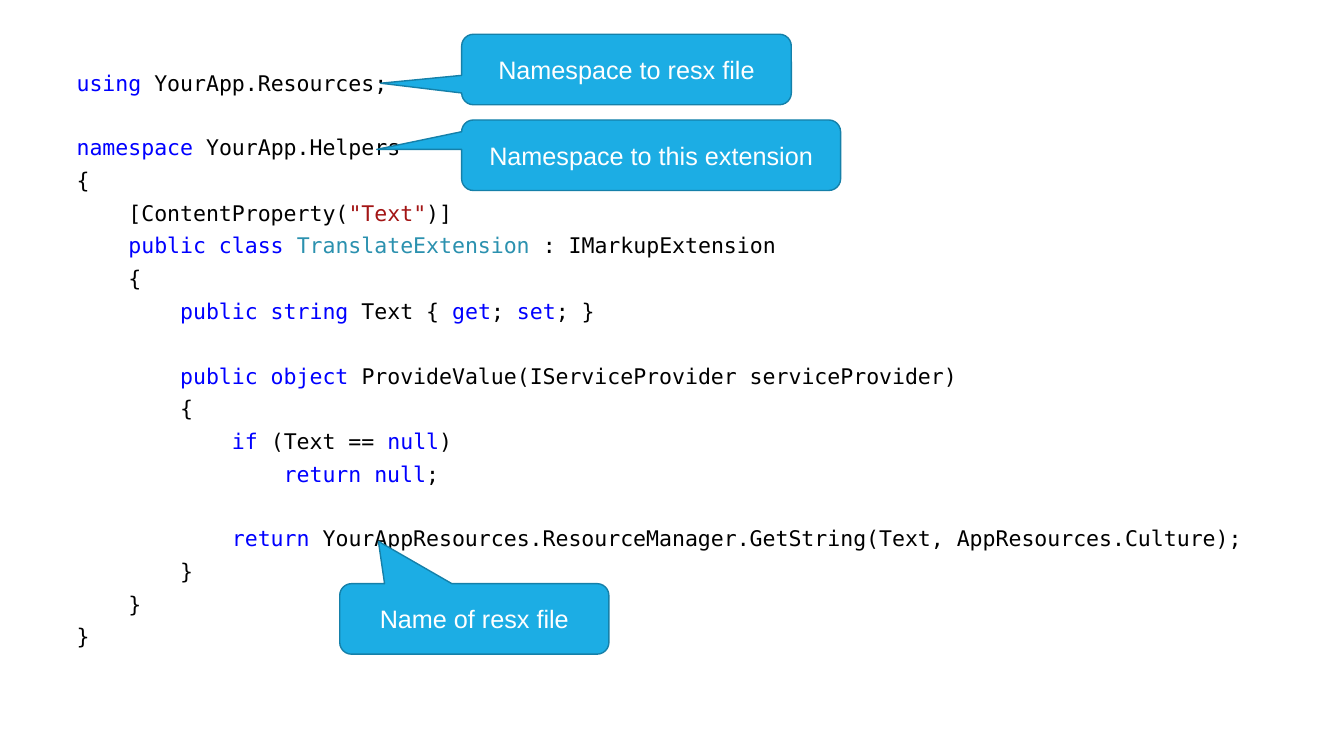
from lxml.etree import SubElement
from pptx import Presentation
from pptx.dml.color import RGBColor
from pptx.enum.shapes import MSO_SHAPE as Shape
from pptx.enum.text import MSO_ANCHOR as Anchor, MSO_AUTO_SIZE as AutoSize, PP_ALIGN as Align
from pptx.oxml.ns import qn
from pptx.util import Inches, Pt

PLAIN = RGBColor(0x00, 0x00, 0x00)
KEYWORD = RGBColor(0x00, 0x00, 0xFF)
STRING = RGBColor(0xA3, 0x15, 0x15)
TYPE = RGBColor(0x2B, 0x91, 0xAF)
CALLOUT_FILL = RGBColor(0x1C, 0xAD, 0xE4)
CALLOUT_LINE = RGBColor(0x15, 0x80, 0xA9)
WHITE = RGBColor(0xFF, 0xFF, 0xFF)

WIDTH, HEIGHT = Inches(13.33), Inches(7.5)
COLUMN, ROW = WIDTH / 100, HEIGHT / 100  # 100 by 100 grid

# Distance above a code line, and above one that opens a new block
LINE_GAP, BLOCK_GAP = Pt(10.4), Pt(33.4)

# Blocks of code lines; each line is a list of (text, colour) spans
CODE_BLOCKS = [
    [
        [("using ", KEYWORD), ("YourApp.Resources;", PLAIN)],
    ],
    [
        [("namespace ", KEYWORD), ("YourApp.Helpers", PLAIN)],
        [("{", PLAIN)],
        [("    [ContentProperty(", PLAIN), ('"Text"', STRING), (")]", PLAIN)],
        [("    public class ", KEYWORD), ("TranslateExtension", TYPE),
         (" : IMarkupExtension", PLAIN)],
        [("    {", PLAIN)],
        [("        public string", KEYWORD), (" Text { ", PLAIN), ("get", KEYWORD),
         ("; ", PLAIN), ("set", KEYWORD), ("; }", PLAIN)],
    ],
    [
        [("        public object ", KEYWORD),
         ("ProvideValue(IServiceProvider serviceProvider)", PLAIN)],
        [("        {", PLAIN)],
        [("            if", KEYWORD), (" (Text == ", PLAIN), ("null", KEYWORD), (")", PLAIN)],
        [("                return null", KEYWORD), (";", PLAIN)],
    ],
    [
        [("            return ", KEYWORD),
         ("YourAppResources.ResourceManager.GetString(Text, AppResources.Culture);", PLAIN)],
        [("        }", PLAIN)],
        [("    }", PLAIN)],
        [("}", PLAIN)],
    ],
]

# Text, box (left, top, width, height) and tip (x, y), in columns and rows
CALLOUTS = [
    ("Namespace to resx file", (34.35, 4.53, 24.53, 9.33), (28.32, 11.01)),
    ("Namespace to this extension", (34.35, 15.87, 28.2, 9.33), (28.03, 19.77)),
    ("Name of resx file", (25.28, 77.2, 20.03, 9.33), (28.16, 71.6)),
]


def to_lengths(box):
    left, top, width, height = box
    return round(left * COLUMN), round(top * ROW), round(width * COLUMN), round(height * ROW)


def add_span(para, text, font_name, size, colour):
    span = para.add_run()
    span.text = text
    span.font.name = font_name
    span.font.size = Pt(size)
    span.font.color.rgb = colour


def fill_code(body, box):
    body.left, body.top, body.width, body.height = to_lengths(box)
    frame = body.text_frame
    frame.auto_size = AutoSize.NONE
    frame.word_wrap = True
    frame.vertical_anchor = Anchor.TOP
    para = None
    for block in CODE_BLOCKS:
        for number, line in enumerate(block):
            if para is None:
                para, gap = frame.paragraphs[0], Pt(0)
            else:
                para = frame.add_paragraph()
                gap = LINE_GAP if number else BLOCK_GAP
            # No bullet or hanging indent
            properties = para._p.get_or_add_pPr()
            properties.set("marL", "0")
            properties.set("indent", "0")
            SubElement(properties, qn("a:buNone"))
            para.line_spacing = 0.7
            para.space_before = gap
            for text, colour in line:
                add_span(para, text, "DejaVu Sans Mono", 15.4, colour)


def add_callout(page, text, box, tip):
    left, top, width, height = box
    shape = page.shapes.add_shape(Shape.ROUNDED_RECTANGULAR_CALLOUT, *to_lengths(box))
    # The tip is given as a share of the box, from its centre
    shape.adjustments[0] = (tip[0] - left) / width - 0.5
    shape.adjustments[1] = (tip[1] - top) / height - 0.5
    shape.shadow.inherit = False
    shape.fill.solid()
    shape.fill.fore_color.rgb = CALLOUT_FILL
    shape.line.color.rgb = CALLOUT_LINE
    shape.line.width = Pt(1)
    frame = shape.text_frame
    frame.word_wrap = True
    frame.vertical_anchor = Anchor.MIDDLE
    para = frame.paragraphs[0]
    para.alignment = Align.CENTER
    add_span(para, text, "Arial", 18, WHITE)


def main():
    deck = Presentation()
    deck.slide_width, deck.slide_height = WIDTH, HEIGHT
    page = deck.slides.add_slide(deck.slide_layouts[1])

    # The slide has no title
    title = page.shapes.title
    title.element.getparent().remove(title.element)

    fill_code(page.placeholders[1], (4.95, 9.47, 93.82, 86))
    for text, box, tip in CALLOUTS:
        add_callout(page, text, box, tip)
    deck.save("out.pptx")


if __name__ == "__main__":
    main()
